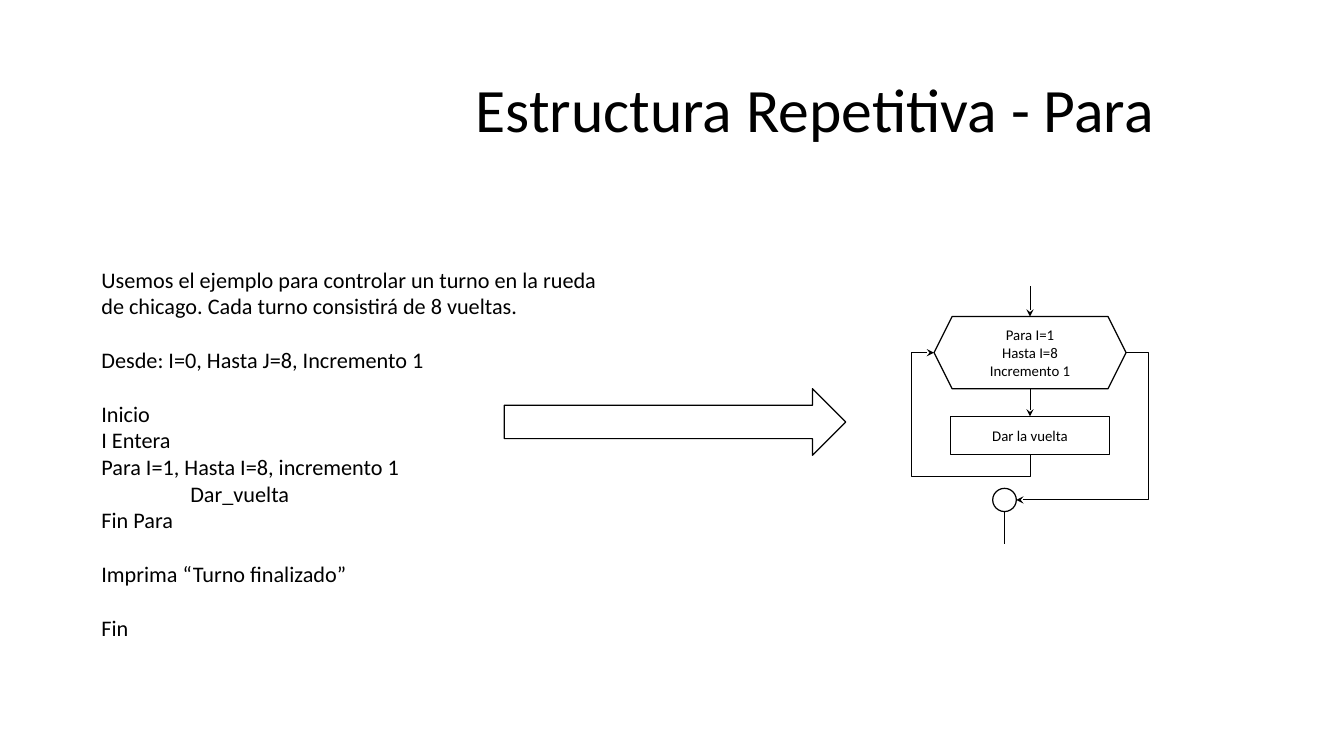
from dataclasses import dataclass

from lxml import etree
from pptx import Presentation
from pptx import util as u
from pptx.dml.color import RGBColor
from pptx.enum import shapes, text
from pptx.oxml.ns import qn


@dataclass(frozen=True)
class Theme:
    """Colours, font, type sizes and line widths."""
    ink: RGBColor = RGBColor(0, 0, 0)
    paper: RGBColor = RGBColor(255, 255, 255)
    font: str = "Calibri"
    title: float = 49.9
    body: float = 18
    label: float = 12
    edge: float = 1
    wire: float = 0.75


THEME = Theme()
STEPS = [
    ("Usemos el ejemplo para controlar un turno en la rueda de chicago. "
     "Cada turno consistirá de 8 vueltas.", {}),
    ("Desde: I=0, Hasta J=8, Incremento 1", {"gap": True}),
    ("Inicio", {"gap": True}),
    ("I Entera", {}),
    ("Para I=1, Hasta I=8, incremento 1", {}),
    ("Dar_vuelta", {"indent": True}),
    ("Fin Para", {}),
    ("Imprima “Turno finalizado”", {"gap": True}),
    ("Fin", {"gap": True}),
]


def spot(box, x, y):
    """Return the point at percentages x, y of a box."""
    left, top, width, height = box
    return int(left + width * x / 100), int(top + height * y / 100)


def part(box, x, y, w, h):
    """Return the sub-box given in percentages of a box."""
    return *spot(box, x, y), int(box[2] * w / 100), int(box[3] * h / 100)


def place(shape, box):
    """Move and size a shape to a box."""
    for name, value in zip(("left", "top", "width", "height"), box):
        setattr(shape, name, value)


def style(para, size, **form):
    """Set the font and paragraph format of one paragraph."""
    font = {"name": THEME.font, "size": u.Pt(size)}
    for name, value in font.items():
        setattr(para.font, name, value)
    para.font.color.rgb = THEME.ink
    for name, value in form.items():
        setattr(para, name, value)


def frame(shape, anchor):
    """Set wrapping, fitting and anchoring of a shape's text."""
    form = {"word_wrap": True, "auto_size": text.MSO_AUTO_SIZE.NONE,
            "vertical_anchor": anchor}
    for name, value in form.items():
        setattr(shape.text_frame, name, value)
    return shape.text_frame


def node(slide, kind, box, lines=(), fill=None):
    """Add an outlined shape with centred lines of text."""
    shape = slide.shapes.add_shape(kind, *box)
    shape.shadow.inherit = False
    if fill is None:
        shape.fill.background()
    else:
        shape.fill.solid()
        shape.fill.fore_color.rgb = fill
    shape.line.color.rgb = THEME.ink
    shape.line.width = u.Pt(THEME.edge)
    if lines:
        words = frame(shape, text.MSO_ANCHOR.MIDDLE)
        words.text = "\n".join(lines)
        for para in words.paragraphs:
            style(para, THEME.label, alignment=text.PP_ALIGN.CENTER)
    return shape


def wire(slide, start, end, head=True, kind=shapes.MSO_CONNECTOR.STRAIGHT):
    """Add a thin connector, with an arrowhead if asked."""
    line = slide.shapes.add_connector(kind, *start, *end)
    line.line.color.rgb = THEME.ink
    line.line.width = u.Pt(THEME.wire)
    props = line.element.spPr
    if head:
        etree.SubElement(props.find(qn("a:ln")), qn("a:tailEnd"), type="stealth")
    etree.SubElement(props, qn("a:effectLst"))
    return line


def bend(line, preset, *shares):
    """Set an elbow's preset and its bends as shares of its size."""
    geom = line.element.spPr.find(qn("a:prstGeom"))
    geom.set("prst", preset)
    guides = geom.find(qn("a:avLst"))
    if guides is None:
        guides = etree.SubElement(geom, qn("a:avLst"))
    for i, share in enumerate(shares, 1):
        etree.SubElement(guides, qn("a:gd"), name=f"adj{i}",
                         fmla=f"val {round(share * 100000)}")


def back(slide, start, end, low, side):
    """Add the loop that leaves downwards and returns from the left."""
    (x1, y1), (x2, y2) = start, end
    cx, cy = (x1 + x2) // 2, (y1 + y2) // 2
    dx, dy = (y1 - y2) // 2, (x1 - x2) // 2
    line = wire(slide, (cx + dx, cy - dy), (cx - dx, cy + dy),
                kind=shapes.MSO_CONNECTOR.ELBOW)
    line.element.spPr.find(qn("a:xfrm")).set("rot", "5400000")
    bend(line, "bentConnector4", (y1 - low) / (y1 - y2), (x1 - side) / (x1 - x2))


def leave(slide, start, end, side):
    """Add the exit that runs round the right side."""
    line = wire(slide, start, end, kind=shapes.MSO_CONNECTOR.ELBOW)
    bend(line, "bentConnector3", (start[0] - side) / (start[0] - end[0]))


def title(slide, box):
    """Fill the title placeholder."""
    shape = slide.shapes.title
    place(shape, box)
    words = frame(shape, text.MSO_ANCHOR.MIDDLE)
    words.text = "Estructura Repetitiva - Para"
    style(words.paragraphs[0], THEME.title,
          alignment=text.PP_ALIGN.RIGHT, line_spacing=0.9)


def code(slide, box):
    """Fill the body placeholder with the pseudocode."""
    shape = slide.placeholders[1]
    place(shape, box)
    words = frame(shape, text.MSO_ANCHOR.TOP)
    words.text = "\n".join(step for step, _ in STEPS)
    for para, (_, form) in zip(words.paragraphs, STEPS):
        gap = u.Pt(21.8 if form.get("gap") else 0)
        style(para, THEME.body, space_before=gap)
        props = para._p.get_or_add_pPr()
        props.set("marL", str(u.Inches(1 if form.get("indent") else 0)))
        props.set("indent", "0")
        bullet = etree.Element(qn("a:buNone"))
        props.find(qn("a:spcBef")).addnext(bullet)


def chart(slide, box):
    """Draw the flowchart of the loop."""
    kind = shapes.MSO_SHAPE
    node(slide, kind.HEXAGON, part(box, 9.4, 11.7, 81.2, 28),
         ("Para I=1", "Hasta I=8", "Incremento 1"))
    task = node(slide, kind.RECTANGLE, part(box, 16.4, 50.4, 67.2, 14.9),
                ("Dar la vuelta",))
    node(slide, kind.OVAL, part(box, 34.2, 78.3, 10, 9), fill=THEME.paper)
    wire(slide, spot(box, 50, 0), spot(box, 50, 11.7))
    wire(slide, spot(box, 50, 39.7), spot(box, 50, 50.4)).end_connect(task, 0)
    wire(slide, spot(box, 39.2, 87.3), spot(box, 39.2, 100), head=False)
    side, low = spot(box, 0, 73.8)
    back(slide, spot(box, 50, 65.3), spot(box, 9.4, 25.7), low, side)
    leave(slide, spot(box, 90.6, 25.7), spot(box, 44.2, 82.8), box[0] + box[2])


def main():
    """Build the slide and save it."""
    deck = Presentation()
    deck.slide_width, deck.slide_height = u.Inches(15.11), u.Inches(8.5)
    slide = deck.slides.add_slide(deck.slide_layouts[1])
    page = (0, 0, deck.slide_width, deck.slide_height)
    title(slide, part(page, 6.88, 5.29, 79.68, 19.29))
    code(slide, part(page, 6.88, 34.59, 39.11, 51.06))
    node(slide, shapes.MSO_SHAPE.RIGHT_ARROW, part(page, 37.52, 51.41, 25.41, 8.82))
    chart(slide, part(page, 67.84, 37.88, 17.6, 34.12))
    deck.save("out.pptx")


if __name__ == "__main__":
    main()
